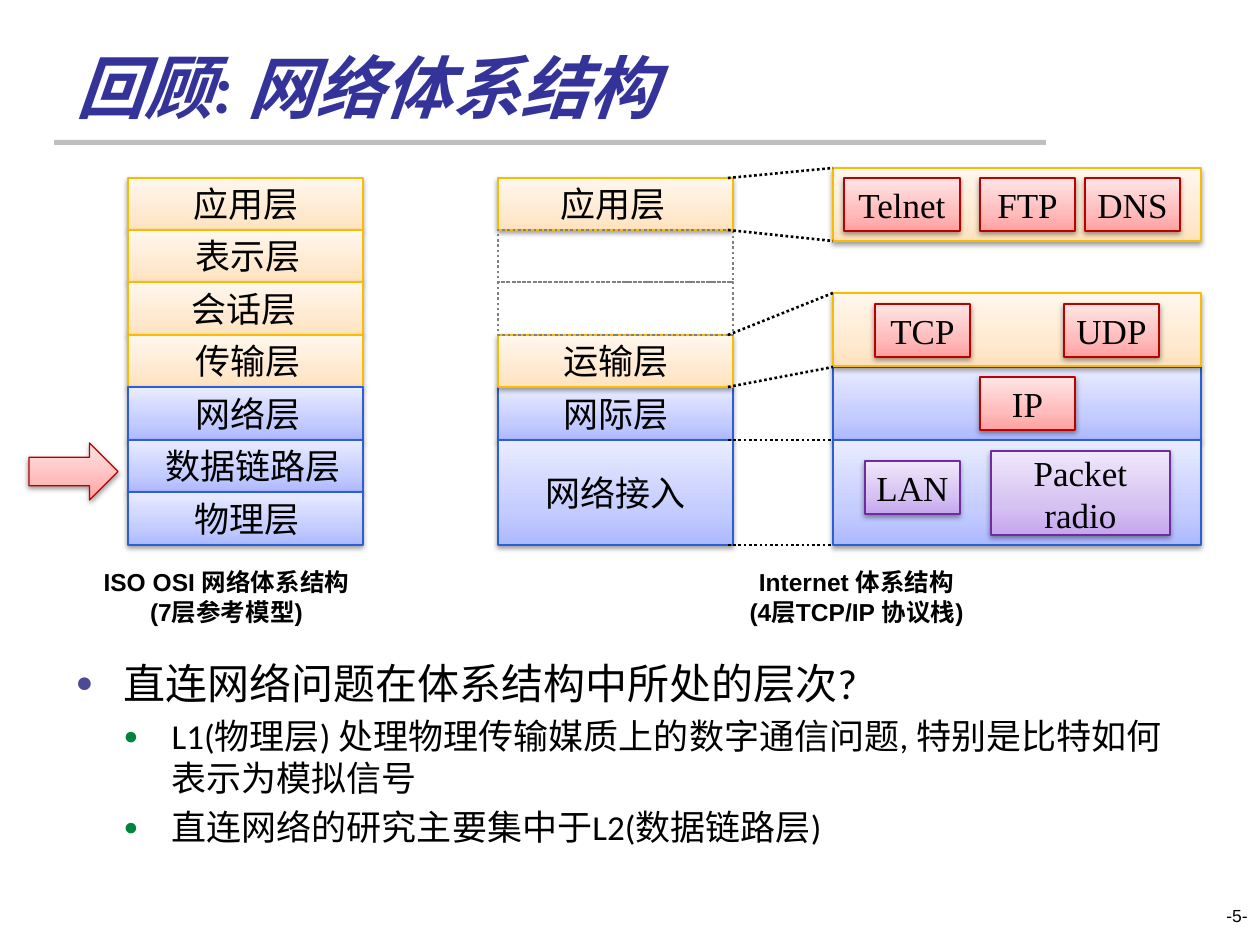
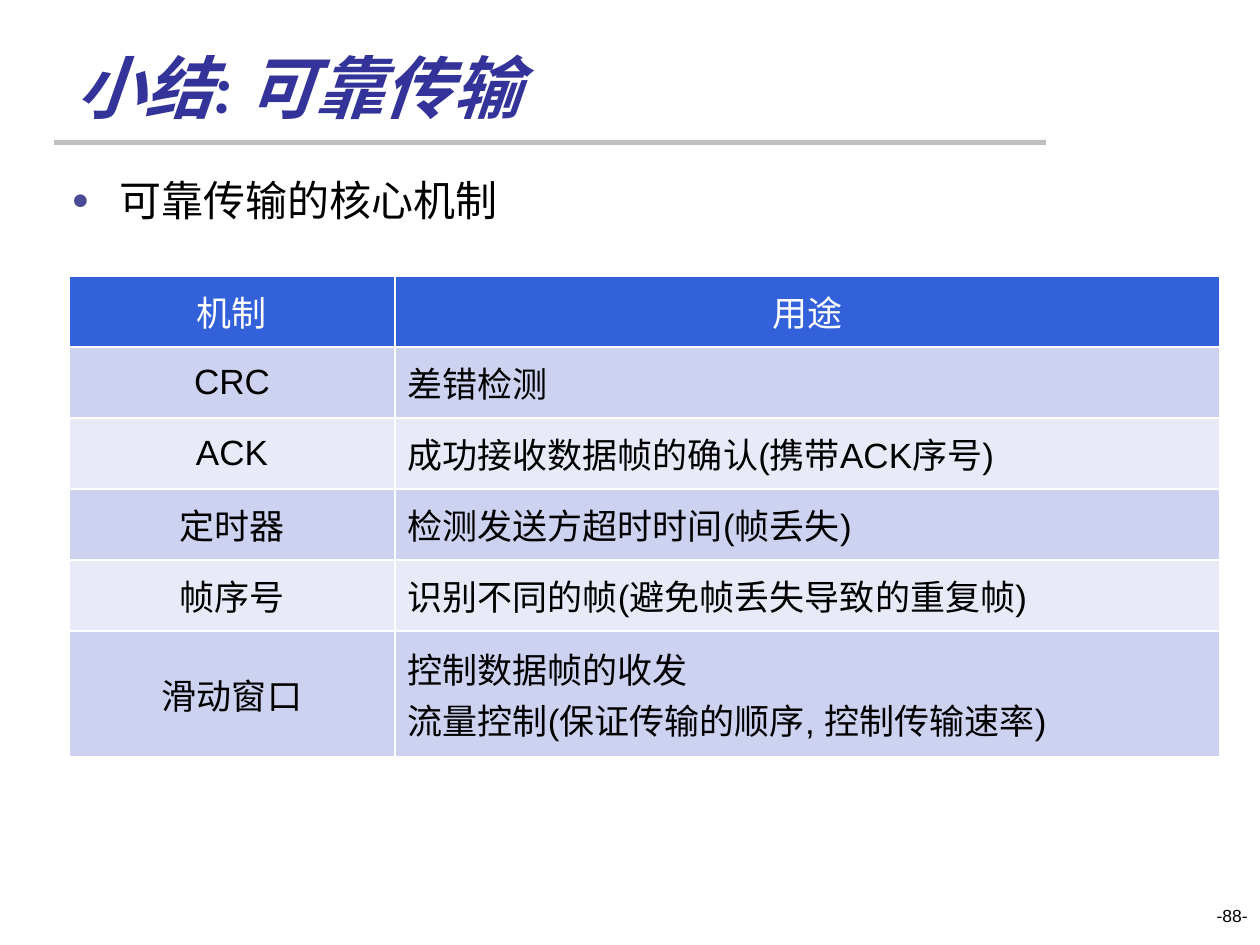
from typing import NamedTuple

from lxml.etree import SubElement
from pptx import Presentation
from pptx.dml.color import RGBColor
from pptx.enum.dml import MSO_LINE
from pptx.enum.shapes import MSO_CONNECTOR, MSO_SHAPE
from pptx.enum.text import MSO_ANCHOR, MSO_AUTO_SIZE, PP_ALIGN
from pptx.oxml import parse_xml
from pptx.oxml.ns import nsdecls, qn
from pptx.util import Emu, Pt

PX = 914400 / 126
CJK_FONT = "Noto Sans CJK SC"

COLORS = {
    "title": "333399", "rule": "BFBFBF", "text": "000000", "white": "FFFFFF",
    "bullet_0": "4A4A97", "bullet_1": "00843C", "empty": "808080",
    "header": "3261DA", "odd_row": "CED2F1", "even_row": "E8EAF8",
    "orange_dark": "FFE2BD", "orange_mid": "FFEAD1", "orange_light": "FFF7EE", "orange_line": "F9BC00",
    "blue_dark": "ADB9FF", "blue_mid": "C5CDFF", "blue_light": "E9ECFF", "blue_line": "2D5DD9",
    "red_dark": "FFA0A0", "red_mid": "FFBCBC", "red_light": "FFE5E5", "red_line": "BC0000",
    "purple_dark": "C5A6EE", "purple_mid": "D6C2F2", "purple_light": "EFE7FB", "purple_line": "6E2C9F",
}

FORMATS = {
    "title": {"name": "Calibri", "size": Pt(39), "bold": True, "italic": True},
    "body_0": {"name": "Calibri", "size": Pt(24)},
    "body_1": {"name": "Calibri", "size": Pt(20)},
    "page": {"name": "Arial", "size": Pt(10)},
    "layer": {"name": CJK_FONT, "size": Pt(20)},
    "protocol": {"name": "Times New Roman", "size": Pt(20)},
    "caption": {"name": "Arial", "size": Pt(14), "bold": True},
    "cell": {"name": "Arial", "size": Pt(20), "bold": False},
}


class Box(NamedTuple):
    left: int
    top: int
    width: int
    height: int


class Layer(NamedTuple):
    text: str
    tone: str
    row: int
    rows: int
    label_left: int
    label_width: int


class Block(NamedTuple):
    tone: str
    box: Box
    text: str = ""


class Item(NamedTuple):
    text: str
    level: int = 0


STACK_TOP, STACK_HEIGHT, STACK_ROWS, STACK_WIDTH = 178, 367, 7, 235
OSI_LEFT, INTERNET_LEFT = 128, 498
PANEL_LEFT, PANEL_WIDTH = 833, 368
LABEL_HEIGHT = 55

OSI_LAYERS = [
    Layer("应用层", "orange", 0, 1, 128, 237),
    Layer("表示层", "orange", 1, 1, 132, 232),
    Layer("会话层", "orange", 2, 1, 164, 161),
    Layer("传输层", "orange", 3, 1, 152, 192),
    Layer("网络层", "blue", 4, 1, 152, 192),
    Layer("数据链路层", "blue", 5, 1, 142, 222),
    Layer("物理层", "blue", 6, 1, 158, 178),
]
INTERNET_LAYERS = [
    Layer("网际层", "blue", 4, 1, 523, 186),
    Layer("网络接入", "blue", 5, 2, 508, 215),
    Layer("运输层", "orange", 3, 1, 523, 186),
    Layer("应用层", "orange", 0, 1, 508, 210),
]
EMPTY_ROWS = (1, 2)
PROTOCOL_BLOCKS = [
    Block("blue", Box(PANEL_LEFT, 367, PANEL_WIDTH, 73)),
    Block("red", Box(980, 377, 95, 53), "IP"),
    Block("blue", Box(PANEL_LEFT, 440, PANEL_WIDTH, 105)),
    Block("purple", Box(865, 461, 95, 53), "LAN"),
    Block("purple", Box(991, 451, 179, 84), "Packet\nradio"),
    Block("orange", Box(PANEL_LEFT, 293, PANEL_WIDTH, 73)),
    Block("red", Box(875, 304, 95, 53), "TCP"),
    Block("red", Box(1064, 304, 95, 53), "UDP"),
    Block("orange", Box(PANEL_LEFT, 168, PANEL_WIDTH, 73)),
    Block("red", Box(844, 178, 116, 53), "Telnet"),
    Block("red", Box(980, 178, 95, 53), "FTP"),
    Block("red", Box(1085, 178, 95, 53), "DNS"),
]
# Stack row boundary and the panel edge it leads to
GUIDES = [(0, 168), (1, 241), (3, 293), (4, 367), (5, 440), (7, 545)]

MECHANISMS = [
    ("机制", "用途"),
    ("CRC", "差错检测"),
    ("ACK", "成功接收数据帧的确认(携带ACK序号)"),
    ("定时器", "检测发送方超时时间(帧丢失)"),
    ("帧序号", "识别不同的帧(避免帧丢失导致的重复帧)"),
    ("滑动窗口", "控制数据帧的收发\n流量控制(保证传输的顺序, 控制传输速率)"),
]


def px(value: float) -> Emu:
    return Emu(round(value * PX))


def place(box: Box) -> list[Emu]:
    return [px(value) for value in box]


def color(name: str) -> RGBColor:
    return RGBColor.from_string(COLORS[name])


# Text helpers
def write_paragraph(paragraph, text: str, style: str, ink: str = "text") -> None:
    run = paragraph.add_run()
    run.text = text
    for name, value in FORMATS[style].items():
        setattr(run.font, name, value)
    run.font.color.rgb = color(ink)
    properties = run._r.get_or_add_rPr()
    east_asian = parse_xml(f'<a:ea {nsdecls("a")} typeface="{CJK_FONT}"/>')
    properties.find(qn("a:latin")).addnext(east_asian)


def write_lines(frame, text: str, style: str, ink: str = "text", align=PP_ALIGN.CENTER) -> None:
    for index, line in enumerate(text.split("\n")):
        paragraph = frame.add_paragraph() if index else frame.paragraphs[0]
        paragraph.alignment = align
        write_paragraph(paragraph, line, style, ink)


def add_label(slide, box: Box, text: str, style: str, align=PP_ALIGN.CENTER) -> None:
    frame = slide.shapes.add_textbox(*place(box)).text_frame
    frame.word_wrap = True
    write_lines(frame, text, style, align=align)


def add_bullet(paragraph, level: int) -> None:
    properties = paragraph._p.get_or_add_pPr()
    properties.set("marL", str(px(48 * (level + 1))))
    properties.set("indent", str(px(-48)))
    bullet_color = SubElement(properties, qn("a:buClr"))
    SubElement(bullet_color, qn("a:srgbClr"), val=COLORS[f"bullet_{level}"])
    SubElement(properties, qn("a:buSzPct"), val="70000")
    SubElement(properties, qn("a:buFont"), typeface="Arial")
    SubElement(properties, qn("a:buChar"), char="●")


# Shape helpers
def add_block(slide, block: Block, kind=MSO_SHAPE.RECTANGLE) -> None:
    shape = slide.shapes.add_shape(kind, *place(block.box))
    shape.fill.background()
    properties = shape._element.spPr
    stops = "".join(
        f'<a:gs pos="{position}"><a:srgbClr val="{COLORS[f"{block.tone}_{shade}"]}"/></a:gs>'
        for position, shade in ((0, "dark"), (35000, "mid"), (100000, "light")))
    gradient = parse_xml(f'<a:gradFill {nsdecls("a")} rotWithShape="1"><a:gsLst>{stops}</a:gsLst>'
                         '<a:lin ang="16200000" scaled="0"/></a:gradFill>')
    properties.replace(properties.find(qn("a:noFill")), gradient)
    shape.line.color.rgb = color(f"{block.tone}_line")
    shape.line.width = Pt(0.75)
    properties.append(parse_xml(
        f'<a:effectLst {nsdecls("a")}><a:outerShdw blurRad="{Pt(3.1)}" dist="{Pt(1.6)}" '
        'dir="5400000" rotWithShape="0"><a:srgbClr val="000000"><a:alpha val="38000"/>'
        '</a:srgbClr></a:outerShdw></a:effectLst>'))
    if block.text:
        frame = shape.text_frame
        frame.word_wrap = False
        frame.vertical_anchor = MSO_ANCHOR.MIDDLE
        write_lines(frame, block.text, "protocol")


def dot_line(line, ink: str) -> None:
    line.color.rgb = color(ink)
    line.width = Pt(1.5)
    line.dash_style = MSO_LINE.ROUND_DOT


def row_top(row: int) -> int:
    return STACK_TOP + STACK_HEIGHT * row // STACK_ROWS


def row_box(left: int, row: int, rows: int = 1) -> Box:
    return Box(left, row_top(row), STACK_WIDTH, row_top(row + rows) - row_top(row))


def add_stack(slide, left: int, layers: list[Layer], style: str) -> None:
    for layer in layers:
        box = row_box(left, layer.row, layer.rows)
        add_block(slide, Block(layer.tone, box))
        label_top = box.top + (box.height - LABEL_HEIGHT) // 2
        label_box = Box(layer.label_left, label_top, layer.label_width, LABEL_HEIGHT)
        add_label(slide, label_box, layer.text, style)


# Parts shared by both slides
def add_base_slide(presentation, title: str, body_box: Box, items: list[Item], page: int):
    slide = presentation.slides.add_slide(presentation.slide_layouts[1])
    rule = slide.shapes.add_shape(MSO_SHAPE.RECTANGLE, *place(Box(54, 140, 992, 5)))
    rule.shadow.inherit = False
    rule.fill.solid()
    rule.fill.fore_color.rgb = color("rule")
    rule.line.fill.background()

    title_shape, body_shape = slide.shapes.title, slide.placeholders[1]
    for shape, box, anchor in ((title_shape, Box(64, 35, 1040, 98), MSO_ANCHOR.BOTTOM),
                               (body_shape, body_box, MSO_ANCHOR.TOP)):
        shape.left, shape.top, shape.width, shape.height = place(box)
        shape.text_frame.auto_size = MSO_AUTO_SIZE.NONE
        shape.text_frame.vertical_anchor = anchor
    write_lines(title_shape.text_frame, title, "title", "title", PP_ALIGN.LEFT)

    frame = body_shape.text_frame
    for index, item in enumerate(items):
        paragraph = frame.add_paragraph() if index else frame.paragraphs[0]
        paragraph.level = item.level
        paragraph.space_before = Pt(4 if index else 0)
        add_bullet(paragraph, item.level)
        write_paragraph(paragraph, item.text, f"body_{item.level}")

    add_label(slide, Box(966, 899, 294, 63), f"-{page}-", "page", PP_ALIGN.RIGHT)
    return slide


def build_architecture(presentation) -> None:
    items = [
        Item("直连网络问题在体系结构中所处的层次?"),
        Item("L1(物理层) 处理物理传输媒质上的数字通信问题, 特别是比特如何表示为模拟信号", 1),
        Item("直连网络的研究主要集中于L2(数据链路层)", 1),
    ]
    slide = add_base_slide(presentation, "回顾: 网络体系结构", Box(63, 651, 1134, 239), items, 5)

    # Layer stacks
    add_stack(slide, OSI_LEFT, OSI_LAYERS, "layer")
    add_stack(slide, INTERNET_LEFT, INTERNET_LAYERS, "protocol")
    for row in EMPTY_ROWS:
        shape = slide.shapes.add_shape(MSO_SHAPE.RECTANGLE, *place(row_box(INTERNET_LEFT, row)))
        shape.shadow.inherit = False
        shape.fill.background()
        dot_line(shape.line, "empty")

    # Protocols and the lines that lead to them
    for block in PROTOCOL_BLOCKS:
        add_block(slide, block)
    for row, panel_y in GUIDES:
        ends = [px(value) for value in (728, row_top(row), PANEL_LEFT, panel_y)]
        guide = slide.shapes.add_connector(MSO_CONNECTOR.STRAIGHT, *ends)
        dot_line(guide.line, "text")
        SubElement(guide._element.spPr, qn("a:effectLst"))

    # Captions and the arrow at the data link layer
    add_label(slide, Box(20, 561, 413, 72), "ISO OSI 网络体系结构\n(7层参考模型)", "caption")
    add_label(slide, Box(640, 561, 433, 72), "Internet 体系结构\n(4层TCP/IP 协议栈)", "caption")
    add_block(slide, Block("red", Box(29, 443, 89, 57)), MSO_SHAPE.RIGHT_ARROW)


def add_cell_borders(cell) -> None:
    properties = cell._tc.get_or_add_tcPr()
    for side in ("lnL", "lnR", "lnT", "lnB"):
        border = SubElement(properties, qn(f"a:{side}"), w=str(Pt(1)))
        fill = SubElement(border, qn("a:solidFill"))
        SubElement(fill, qn("a:srgbClr"), val=COLORS["white"])


def build_summary(presentation) -> None:
    slide = add_base_slide(presentation, "小结: 可靠传输", Box(59, 168, 1134, 704),
                           [Item("可靠传输的核心机制")], 88)
    widths, heights = (326, 825), (71, 71, 71, 71, 71, 126)
    box = Box(69, 276, sum(widths), sum(heights))
    table = slide.shapes.add_table(len(heights), len(widths), *place(box)).table
    table.horz_banding = False
    for column, width in zip(table.columns, widths):
        column.width = px(width)
    for index, (row, height, texts) in enumerate(zip(table.rows, heights, MECHANISMS)):
        row.height = px(height)
        fill = "header" if index == 0 else ("even_row", "odd_row")[index % 2]
        for column_index, (cell, text) in enumerate(zip(row.cells, texts)):
            add_cell_borders(cell)
            cell.fill.solid()
            cell.fill.fore_color.rgb = color(fill)
            cell.vertical_anchor = MSO_ANCHOR.MIDDLE
            centred = index == 0 or column_index == 0
            write_lines(cell.text_frame, text, "cell", "text" if index else "white",
                        PP_ALIGN.CENTER if centred else PP_ALIGN.LEFT)


def main() -> None:
    presentation = Presentation()
    presentation.slide_width, presentation.slide_height = px(1260), px(945)
    build_architecture(presentation)
    build_summary(presentation)
    presentation.save("out.pptx")


if __name__ == "__main__":
    main()
